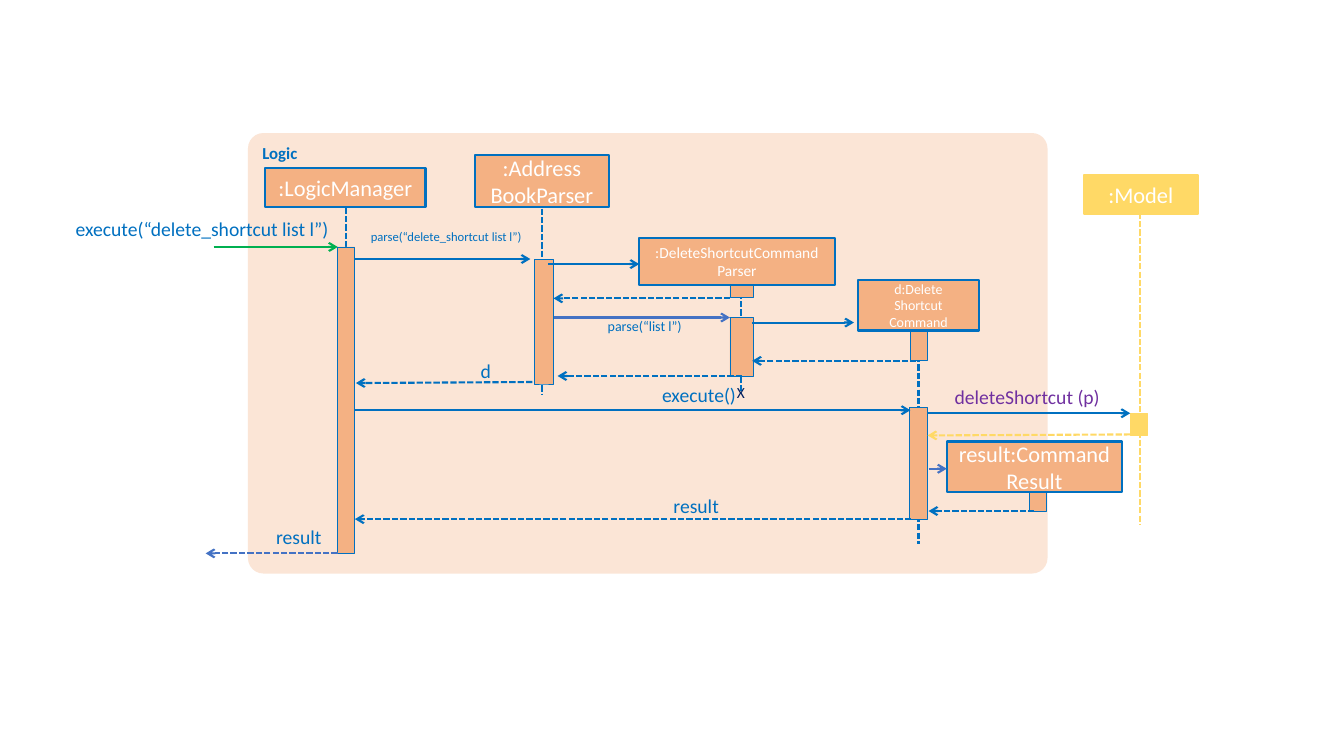
import pptx
import pptx.util
import pptx.dml.color
import pptx.enum.dml
import pptx.enum.shapes
import pptx.enum.text
import pptx.oxml.ns
import lxml.etree

Inches = pptx.util.Inches
Pt = pptx.util.Pt
RGB = pptx.dml.color.RGBColor.from_string
Align = pptx.enum.text.PP_ALIGN
Anchor = pptx.enum.text.MSO_ANCHOR
Shape = pptx.enum.shapes.MSO_SHAPE
qn = pptx.oxml.ns.qn

THEME = {
    "font": "Calibri",
    "panel": "FBE5D6", "orange": "F4B183", "yellow": "FFD966",
    "blue": "0070C0", "indigo": "4472C4", "green": "00B050",
    "purple": "7030A0", "navy": "002060", "white": "FFFFFF",
    "thick": 1.5, "thin": 0.5,
    "large": 16, "call": 14, "panel_name": 12, "medium": 11, "small": 10, "tiny": 9,
}


def write(shape, text, size, color, align, anchor, bold=False):
    """Fill a shape with text: a newline parts paragraphs, a vertical tab parts lines."""
    frame = shape.text_frame
    frame.word_wrap = True
    frame.vertical_anchor = anchor
    for i, words in enumerate(text.split("\n")):
        para = frame.paragraphs[0] if i == 0 else frame.add_paragraph()
        para.alignment = align
        for j, part in enumerate(words.split("\v")):
            if j:
                para.add_line_break()
            run = para.add_run()
            run.text = part
            run.font.name = THEME["font"]
            run.font.size = Pt(THEME[size])
            run.font.bold = bold
            run.font.color.rgb = RGB(THEME[color])


def draw_line(start, end, color, dashed=False, arrow=True):
    """Draw a straight line, with an open arrowhead at its end if asked."""
    link = slide.shapes.add_connector(
        pptx.enum.shapes.MSO_CONNECTOR.STRAIGHT, *map(Inches, start + end))
    link.line.color.rgb = RGB(THEME[color])
    link.line.width = Pt(THEME["thick"])
    if dashed:
        link.line.dash_style = pptx.enum.dml.MSO_LINE.SQUARE_DOT
    props = link.element.spPr
    if arrow:
        lxml.etree.SubElement(props.find(qn("a:ln")), qn("a:tailEnd"), type="arrow")
    lxml.etree.SubElement(props, qn("a:effectLst"))


deck = pptx.Presentation()
deck.slide_width, deck.slide_height = Inches(13.33), Inches(7.5)
slide = deck.slides.add_slide(deck.slide_layouts[6])

# Panel
panel = slide.shapes.add_shape(
    Shape.ROUNDED_RECTANGLE, *map(Inches, (2.46, 1.32, 7.93, 4.37)))
panel.adjustments[0] = 0.035
panel.shadow.inherit = False
panel.fill.solid()
panel.fill.fore_color.rgb = RGB(THEME["panel"])
panel.line.fill.background()
write(panel, "Logic", "panel_name", "blue", Align.LEFT, Anchor.TOP, bold=True)

# Lifelines: x, top, bottom, colour
lifelines = [
    (3.43, 2.06, 4.9, "blue"),
    (5.38, 2.07, 3.92, "blue"),
    (7.35, 2.82, 3.9, "blue"),
    (9.11, 3.28, 5.4, "blue"),
    (11.31, 2.11, 5.2, "yellow"),
]
for x, top, bottom, color in lifelines:
    draw_line((x, top), (x, bottom), color, dashed=True, arrow=False)

# Active bars and object heads: place, fill, outline, weight, text, text size
bars = [
    (3.35, 2.45, 0.17, 3.04),
    (5.3, 2.57, 0.19, 1.24),
    (7.24, 2.82, 0.23, 0.13),
    (7.24, 3.15, 0.23, 0.58),
    (9.03, 3.28, 0.17, 0.3),
    (9.02, 4.04, 0.18, 1.11),
    (10.21, 4.88, 0.17, 0.19),
]
heads = [
    ((2.63, 1.67, 1.59, 0.38), ":LogicManager", "large"),
    ((4.71, 1.54, 1.33, 0.51), ":Address\nBookParser", "large"),
    ((6.34, 2.36, 1.94, 0.47), ":DeleteShortcutCommand\nParser", "medium"),
    ((8.51, 2.78, 1.2, 0.5), "d:Delete\vShortcut Command", "small"),
    ((9.39, 4.38, 1.74, 0.5), "result:Command Result", "large"),
]
boxes = [(place, "orange", "blue", "thin", "", "small") for place in bars]
boxes += [(place, "orange", "blue", "thick", text, size) for place, text, size in heads]
boxes += [
    ((11.21, 4.1, 0.17, 0.22), "yellow", "yellow", "thin", "", "small"),
    ((10.75, 1.74, 1.13, 0.38), "yellow", "yellow", "thick", ":Model", "large"),
]
for place, fill, edge, weight, text, size in boxes:
    box = slide.shapes.add_shape(Shape.RECTANGLE, *map(Inches, place))
    box.shadow.inherit = False
    box.fill.solid()
    box.fill.fore_color.rgb = RGB(THEME[fill])
    box.line.color.rgb = RGB(THEME[edge])
    box.line.width = Pt(THEME[weight])
    if text:
        write(box, text, size, "white", Align.CENTER, Anchor.MIDDLE)

# Messages from sender to target; calls are solid and replies dashed
calls = [
    ((2.12, 2.45), (3.35, 2.45), "green"),
    ((3.52, 2.57), (5.26, 2.57), "blue"),
    ((5.44, 2.62), (6.34, 2.62), "blue"),
    ((5.49, 3.15), (7.24, 3.15), "indigo"),
    ((7.46, 3.2), (8.47, 3.2), "blue"),
    ((3.52, 4.07), (9.03, 4.07), "blue"),
    ((9.2, 4.1), (11.21, 4.1), "blue"),
    ((9.21, 4.65), (9.39, 4.65), "indigo"),
]
replies = [
    ((7.24, 2.96), (5.49, 2.96), "blue"),
    ((9.09, 3.58), (7.46, 3.58), "blue"),
    ((7.36, 3.73), (5.53, 3.73), "blue"),
    ((5.28, 3.79), (3.53, 3.8), "blue"),
    ((11.21, 4.31), (9.2, 4.32), "yellow"),
    ((10.26, 5.07), (9.21, 5.07), "blue"),
    ((9.04, 5.15), (3.52, 5.15), "blue"),
    ((3.35, 5.49), (2.04, 5.49), "indigo"),
]
for dashed, group in ((False, calls), (True, replies)):
    for start, end, color in group:
        draw_line(start, end, color, dashed)

# Message labels
labels = [
    ((0.62, 2.15, 2.64, 0.24), "execute(“delete_shortcut list l”)", "call", "blue"),
    ((3.49, 2.27, 1.68, 0.15), "parse(“delete_shortcut list l”)", "tiny", "blue"),
    ((5.92, 3.15, 0.84, 0.17), "parse(“list l”)", "small", "blue"),
    ((4.63, 3.56, 0.24, 0.24), "d", "call", "blue"),
    ((6.36, 3.8, 0.94, 0.24), "execute()", "call", "blue"),
    ((9.35, 3.82, 1.56, 0.24), "deleteShortcut (p)", "call", "purple"),
    ((6.45, 4.9, 0.68, 0.24), "result", "call", "blue"),
    ((2.36, 5.21, 0.83, 0.24), "result", "call", "blue"),
]
for place, text, size, color in labels:
    label = slide.shapes.add_textbox(*map(Inches, place))
    frame = label.text_frame
    frame.margin_left = frame.margin_right = frame.margin_top = frame.margin_bottom = 0
    frame.auto_size = pptx.enum.text.MSO_AUTO_SIZE.SHAPE_TO_FIT_TEXT
    write(label, text, size, color, Align.RIGHT, Anchor.TOP)

# End of the parser's life
cross = slide.shapes.add_textbox(*map(Inches, (7.21, 3.75, 0.28, 0.29)))
write(cross, "X", "medium", "navy", Align.LEFT, Anchor.TOP)
cross.text_frame.word_wrap = False

deck.save("out.pptx")
